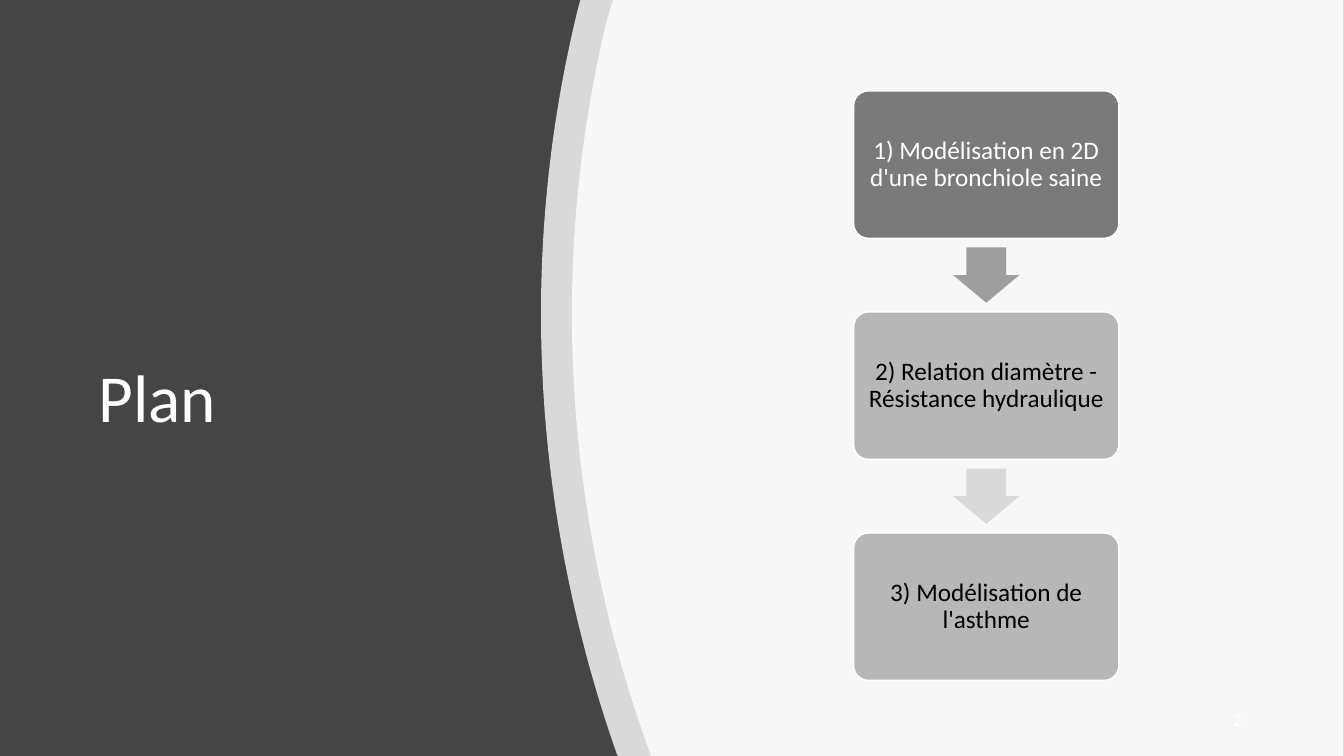
"""Build the plan slide: a curved title panel and three steps joined by arrows."""
from lxml.etree import SubElement
from pptx import Presentation
from pptx.dml.color import RGBColor
from pptx.enum.shapes import MSO_SHAPE
from pptx.enum.text import MSO_ANCHOR, PP_ALIGN
from pptx.oxml.ns import qn
from pptx.util import Pt

WHITE = RGBColor(0xFF, 0xFF, 0xFF)
BLACK = RGBColor(0x00, 0x00, 0x00)
CHARCOAL = RGBColor(0x45, 0x45, 0x45)
DARK_GREY = RGBColor(0x7A, 0x7A, 0x7A)
MID_GREY = RGBColor(0x9E, 0x9E, 0x9E)
LIGHT_GREY = RGBColor(0xB7, 0xB7, 0xB7)
PALE_GREY = RGBColor(0xD9, 0xD9, 0xD9)

TITLE = "Plan"
PAGE_NUMBER = "2"
STEPS = [
    ("1) Modélisation en 2D d'une bronchiole saine", DARK_GREY, WHITE),
    ("2) Relation diamètre - Résistance hydraulique", LIGHT_GREY, BLACK),
    ("3) Modélisation de l'asthme", LIGHT_GREY, BLACK),
]
ARROW_COLORS = [MID_GREY, PALE_GREY]
VEILS = [
    {"right": 960, "top": 414.6, "bottom": 441.3,
     "curve": [(440.6, 538.6), (381.6, 370.1), (368.6, 187.2), (412.6, 7.2)]},
    {"right": 959.4, "top": 437.8, "bottom": 465.1,
     "curve": [(457.9, 519.8), (403.2, 359.3), (392.4, 185.8), (433.4, 15.1)]},
]

SLIDE_W, SLIDE_H = 960, 540
VEIL_ALPHA = 80000
CURVE_PARTS = 60
STEP_LEFT, STEP_TOP, STEP_W, STEP_H = 609.8, 64.9, 189.4, 105.3
STEP_PITCH = 157.9
ARROW_W, ARROW_H = 47.4, 39.5


def bezier(points):
    """Return points along a cubic curve."""
    for part in range(CURVE_PARTS + 1):
        t = part / CURVE_PARTS
        weights = ((1 - t) ** 3, 3 * t * (1 - t) ** 2, 3 * t * t * (1 - t), t ** 3)
        yield tuple(sum(w * p[axis] for w, p in zip(weights, points)) for axis in (0, 1))


def paint(shape, color):
    """Give a shape a plain fill without line or shadow."""
    shape.shadow.inherit = False
    shape.fill.solid()
    shape.fill.fore_color.rgb = color
    shape.line.fill.background()


def write(shape, text, size, color, align, inset_x, inset_y):
    """Put one formatted paragraph in a shape."""
    frame = shape.text_frame
    frame_format = {
        "word_wrap": True, "vertical_anchor": MSO_ANCHOR.MIDDLE,
        "margin_left": Pt(inset_x), "margin_right": Pt(inset_x),
        "margin_top": Pt(inset_y), "margin_bottom": Pt(inset_y),
    }
    for name, value in frame_format.items():
        setattr(frame, name, value)
    paragraph = frame.paragraphs[0]
    paragraph.text = text
    paragraph.alignment = align
    paragraph.line_spacing = 0.9
    for name, value in {"name": "Calibri", "size": Pt(size)}.items():
        setattr(paragraph.font, name, value)
    paragraph.font.color.rgb = color


def add_veil(shapes, right, top, bottom, curve):
    """Add a translucent panel with a curved left edge."""
    outline = [(right, 0), (right, SLIDE_H), (bottom, SLIDE_H), *bezier(curve)]
    builder = shapes.build_freeform(Pt(top), 0, scale=1.0)
    builder.add_line_segments([(Pt(x), Pt(y)) for x, y in outline], close=True)
    veil = builder.convert_to_shape()
    paint(veil, WHITE)
    tint = veil.fill._xPr.find(qn("a:solidFill"))[0]
    SubElement(tint, qn("a:alpha"), val=str(VEIL_ALPHA))


def add_step(shapes, index, text, fill, ink):
    """Add one rounded step box."""
    top = STEP_TOP + index * STEP_PITCH
    step = shapes.add_shape(MSO_SHAPE.ROUNDED_RECTANGLE,
                            Pt(STEP_LEFT), Pt(top), Pt(STEP_W), Pt(STEP_H))
    step.adjustments[0] = 0.1
    paint(step, fill)
    step.line.color.rgb = WHITE
    step.line.width = Pt(1)
    write(step, text, 18, ink, PP_ALIGN.CENTER, 5, 5)


def add_arrow(shapes, index, color):
    """Add an arrow centred in the gap below a step."""
    left = STEP_LEFT + (STEP_W - ARROW_W) / 2
    middle = STEP_TOP + index * STEP_PITCH + (STEP_H + STEP_PITCH) / 2
    arrow = shapes.add_shape(MSO_SHAPE.DOWN_ARROW, Pt(left), Pt(middle - ARROW_H / 2),
                             Pt(ARROW_W), Pt(ARROW_H))
    arrow.adjustments[0] = 0.6
    arrow.adjustments[1] = 0.5
    paint(arrow, color)


def main():
    """Build and save the slide."""
    deck = Presentation()
    deck.slide_width, deck.slide_height = Pt(SLIDE_W), Pt(SLIDE_H)
    slide = deck.slides.add_slide(deck.slide_layouts[6])
    slide.background.fill.solid()
    slide.background.fill.fore_color.rgb = CHARCOAL
    shapes = slide.shapes
    for veil in VEILS:
        add_veil(shapes, **veil)
    title = shapes.add_textbox(Pt(63.4), Pt(113.8), Pt(285), Pt(344.9))
    write(title, TITLE, 48, WHITE, PP_ALIGN.LEFT, 7.2, 3.6)
    for index, step in enumerate(STEPS):
        add_step(shapes, index, *step)
    for index, color in enumerate(ARROW_COLORS):
        add_arrow(shapes, index, color)
    page = shapes.add_textbox(Pt(822), Pt(501), Pt(72), Pt(28.8))
    write(page, PAGE_NUMBER, 12, WHITE, PP_ALIGN.RIGHT, 7.2, 3.6)
    deck.save("out.pptx")


if __name__ == "__main__":
    main()
